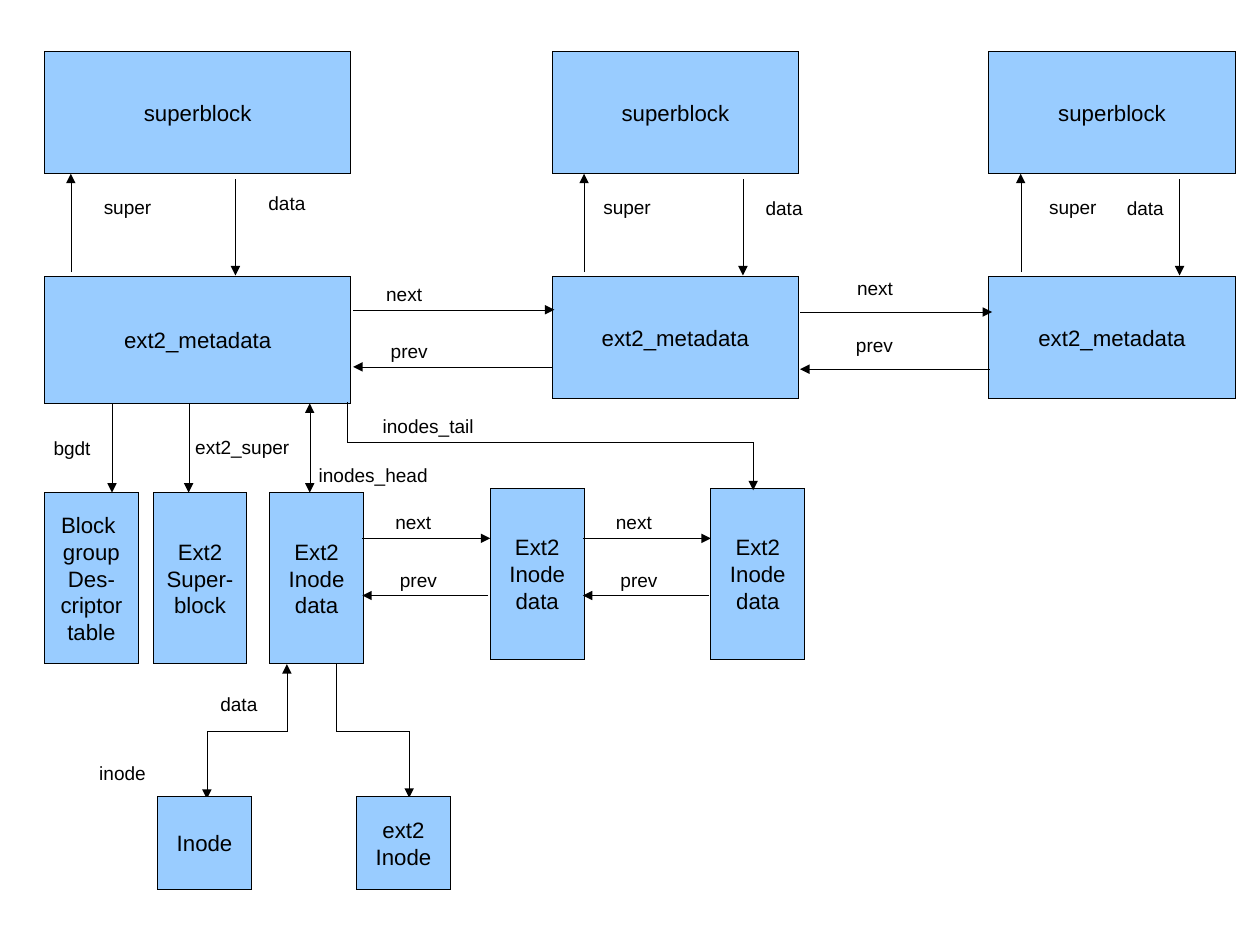
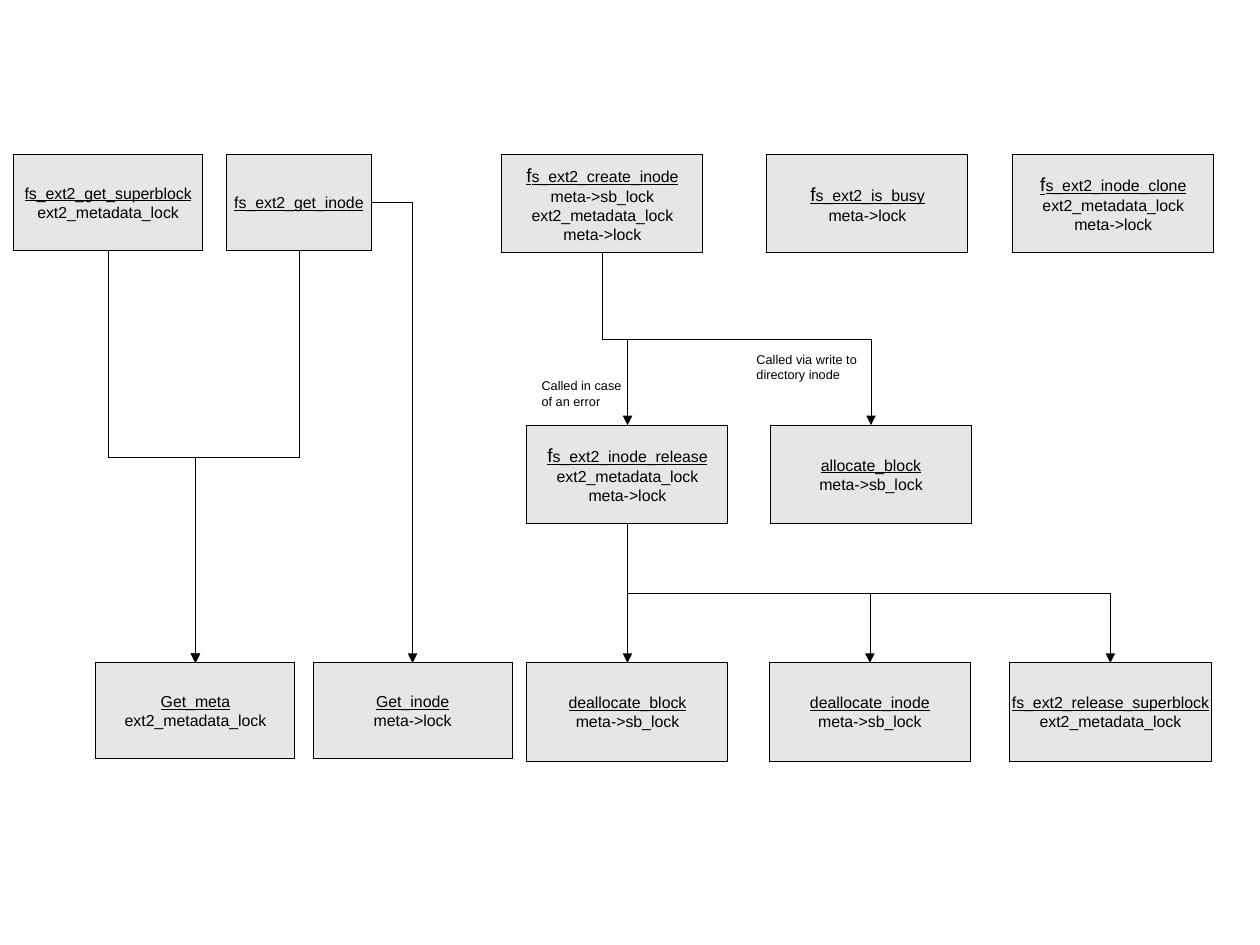
from lxml.etree import SubElement
from pptx import Presentation
from pptx.dml.color import RGBColor
from pptx.enum.shapes import MSO_CONNECTOR as LINK, MSO_SHAPE
from pptx.enum.text import MSO_ANCHOR, MSO_AUTO_SIZE, PP_ALIGN
from pptx.oxml.ns import qn
from pptx.util import Cm, Inches, Pt

BLACK = RGBColor(0x00, 0x00, 0x00)
BLUE = RGBColor(0x99, 0xCC, 0xFF)
GREY = RGBColor(0xE6, 0xE6, 0xE6)
TOP, LEFT, BOTTOM, RIGHT = range(4)
BLANK_LAYOUT = 6


def add_span(para, text, size, underline=False):
    span = para.add_run()
    span.text = text
    span.font.color.rgb = BLACK
    formats = {"name": "Arial", "size": Pt(size), "underline": underline}
    for name, value in formats.items():
        setattr(span.font, name, value)


def set_hairline(shape):
    """Give a black line of width 0, written out to override the theme's width."""
    shape.line.color.rgb = BLACK
    outline = shape.element.spPr.find(qn("a:ln"))
    outline.set("w", "0")
    return outline


def add_node(page, box, paragraphs, fill):
    """Draw a box; each paragraph is a list of (text, size, underline) spans."""
    node = page.shapes.add_shape(MSO_SHAPE.RECTANGLE, *map(Inches, box))
    node.shadow.inherit = False
    node.fill.solid()
    node.fill.fore_color.rgb = fill
    set_hairline(node)
    frame = node.text_frame
    frame.word_wrap = False
    frame.vertical_anchor = MSO_ANCHOR.MIDDLE
    for index, spans in enumerate(paragraphs):
        para = frame.add_paragraph() if index else frame.paragraphs[0]
        para.alignment = PP_ALIGN.CENTER
        for span in spans:
            add_span(para, *span)
    return node


def add_label(page, left, top, text, width=1.14, height=0.29, size=12):
    label = page.shapes.add_textbox(*map(Inches, (left, top, width, height)))
    frame = label.text_frame
    frame.word_wrap = True
    frame.auto_size = MSO_AUTO_SIZE.SHAPE_TO_FIT_TEXT
    add_span(frame.paragraphs[0], text, size)


def style_link(link, ends):
    """Make a thin black line with arrowheads at the named ends."""
    outline = set_hairline(link)
    for end in ends:
        SubElement(outline, qn(f"a:{end}"), type="triangle")
    SubElement(link.element.spPr, qn("a:effectLst"))


def add_line(page, start, finish, ends=("tailEnd",)):
    link = page.shapes.add_connector(LINK.STRAIGHT, *map(Inches, start + finish))
    style_link(link, ends)


def turn_elbow(link, start_x, start_y, finish_x, finish_y):
    """Turn an elbow so that it leaves downwards and arrives downwards."""
    width, height = abs(finish_y - start_y), abs(finish_x - start_x)
    link.left = round((start_x + finish_x - width) / 2)
    link.top = round((start_y + finish_y - height) / 2)
    link.width, link.height = width, height
    frame = link.element.spPr.find(qn("a:xfrm"))
    rightwards = finish_x > start_x
    frame.set("rot", str((270 if rightwards else 90) * 60000))
    frame.set("flipH", "1" if rightwards else "0")
    frame.set("flipV", "0")


def add_down_elbow(page, start, finish, ends=("tailEnd",)):
    corners = [Inches(value) for value in start + finish]
    link = page.shapes.add_connector(LINK.ELBOW, *corners)
    turn_elbow(link, *corners)
    style_link(link, ends)


def join_nodes(page, kind, parent, child, parent_side=BOTTOM):
    link = page.shapes.add_connector(kind, 0, 0, 0, 0)
    link.begin_connect(parent, parent_side)
    link.end_connect(child, TOP)
    style_link(link, ("tailEnd",))
    return link


def join_down(page, parent, child):
    """Join a parent's bottom to a child's top, straight if they line up."""
    start_x, finish_x = (node.left + node.width // 2 for node in (parent, child))
    if start_x == finish_x:
        join_nodes(page, LINK.STRAIGHT, parent, child)
        return
    link = join_nodes(page, LINK.ELBOW, parent, child)
    turn_elbow(link, start_x, parent.top + parent.height, finish_x, child.top)


def add_struct(page, box, *lines):
    add_node(page, box, [[(line, 14)] for line in lines], BLUE)


def metadata_column(page, left, top, width, metadata_height, up, super_x, data_x, data_y):
    """Draw a superblock above its metadata; up and the labels are offsets."""
    add_struct(page, (left, top, width, 1.07), "superblock")
    add_struct(page, (left, top + 1.97, width, metadata_height), "ext2_metadata")
    add_line(page, (left + up, top + 1.93), (left + up, top + 1.07))
    add_line(page, (left + 1.67, top + 1.12), (left + 1.67, top + 1.96))
    add_label(page, left + super_x, top + 1.21, "super")
    add_label(page, left + data_x, top + data_y, "data")


def next_prev_pair(page, left, right, top, next_x=0.19, prev_x=0.23, rise=0.29):
    """Draw the two arrows of a doubly linked list across a gap."""
    add_line(page, (left, top), (right + 0.02, top))
    add_line(page, (right, top + 0.5), (left, top + 0.5))
    add_label(page, left + next_x, top - rise, "next", 0.99)
    add_label(page, left + prev_x, top + 0.5 - rise, "prev", 0.99)


def inode_area(page, left, top):
    """Draw the structures that hang below the first metadata box."""
    columns = [
        (0, 0, ("Block ", "group", "Des-", "criptor", "table")),
        (0.95, 0, ("Ext2", "Super-", "block")),
    ]
    inode_lines = ("Ext2", "Inode", "data")
    columns += [(1.97 + 1.93 * step, -0.04 * bool(step), inode_lines) for step in range(3)]
    for x, y, lines in columns:
        add_struct(page, (left + x, top + y, 0.82, 1.5), *lines)
    for step in range(2):
        start = left + 2.78 + 1.93 * step
        next_prev_pair(page, start, start + 1.1, top + 0.4)

    both = ("headEnd", "tailEnd")
    for x, ends in ((0.59, both[1:]), (1.26, both[1:]), (2.32, both)):
        add_line(page, (left + x, top - 0.78), (left + x, top), ends)
    tail_start, tail_end, tail_y = left + 2.65, left + 6.2, top - 0.44
    add_line(page, (tail_start, top - 0.79), (tail_start, tail_y), ())
    add_line(page, (tail_start, tail_y), (tail_end, tail_y), ())
    add_line(page, (tail_end, tail_y), (tail_end, top - 0.02))

    add_down_elbow(page, (left + 2.12, top + 1.5), (left + 1.42, top + 2.68), both)
    add_down_elbow(page, (left + 2.55, top + 1.5), (left + 3.19, top + 2.67))
    add_struct(page, (left + 0.99, top + 2.66, 0.82, 0.81), "Inode")
    add_struct(page, (left + 2.73, top + 2.66, 0.82, 0.81), "ext2", "Inode")
    for x, y, text in (
        (-0.02, -0.54, "bgdt"), (1.22, -0.55, "ext2_super"),
        (2.3, -0.3, "inodes_head"), (2.86, -0.73, "inodes_tail"),
        (0.38, 2.3, "inode"), (1.44, 1.7, "data"),
    ):
        add_label(page, left + x, top + y, text, 1.33)


def structures_slide(deck):
    page = deck.slides.add_slide(deck.slide_layouts[BLANK_LAYOUT])
    for column in (
        (0.39, 0.45, 2.68, 1.11, 0.23, 0.42, 1.86, 1.18),
        (4.83, 0.45, 2.16, 1.07, 0.28, 0.35, 1.77, 1.22),
        (8.65, 0.45, 2.16, 1.07, 0.28, 0.43, 1.11, 1.22),
    ):
        metadata_column(page, *column)
    next_prev_pair(page, 3.09, 4.83, 2.71)
    next_prev_pair(page, 7, 8.66, 2.73, 0.4, 0.39, 0.36)
    inode_area(page, 0.39, 4.31)


def add_function(page, box, name, locks, initial_size=10):
    """Draw a function box: underlined name, then the locks it takes."""
    heading = [(name[0], initial_size, True), (name[1:], 10, True)]
    if initial_size == 10:
        heading = [(name, 10, True)]
    return add_node(page, box, [heading] + [[(lock, 10)] for lock in locks], GREY)


def locks_slide(deck):
    page = deck.slides.add_slide(deck.slide_layouts[BLANK_LAYOUT])
    metadata, lock, sb_lock = "ext2_metadata_lock", "meta->lock", "meta->sb_lock"
    row_1, row_2, row_3 = 1.35, 3.72, 5.8
    nodes = {
        name: add_function(page, box, name, *details)
        for name, box, *details in (
            ("fs_ext2_get_superblock", (0.12, row_1, 1.65, 0.84), [metadata]),
            ("fs_ext2_get_inode", (1.98, row_1, 1.27, 0.84), []),
            ("fs_ext2_create_inode", (4.39, row_1, 1.76, 0.86), [sb_lock, metadata, lock], 12),
            ("fs_ext2_is_busy", (6.71, row_1, 1.76, 0.86), [lock], 12),
            ("fs_ext2_inode_clone", (8.86, row_1, 1.76, 0.86), [metadata, lock], 12),
            ("fs_ext2_inode_release", (4.61, row_2, 1.76, 0.86), [metadata, lock], 12),
            ("allocate_block", (6.74, row_2, 1.76, 0.86), [sb_lock]),
            ("Get_meta", (0.84, row_3, 1.74, 0.84), [metadata]),
            ("Get_inode", (2.74, row_3, 1.74, 0.84), [lock]),
            ("deallocate_block", (4.61, row_3, 1.76, 0.86), [sb_lock]),
            ("deallocate_inode", (6.73, row_3, 1.76, 0.86), [sb_lock]),
            ("fs_ext2_release_superblock", (8.83, row_3, 1.77, 0.86), [metadata]),
        )
    }
    calls = {
        "fs_ext2_get_superblock": ["Get_meta"],
        "fs_ext2_get_inode": ["Get_meta"],
        "fs_ext2_create_inode": ["fs_ext2_inode_release", "allocate_block"],
        "fs_ext2_inode_release": [
            "deallocate_block", "deallocate_inode", "fs_ext2_release_superblock",
        ],
    }
    for caller, callees in calls.items():
        for callee in callees:
            join_down(page, nodes[caller], nodes[callee])
    side_link = join_nodes(
        page, LINK.ELBOW, nodes["fs_ext2_get_inode"], nodes["Get_inode"], RIGHT)
    side_link.element.spPr.find(qn("a:prstGeom")).set("prst", "bentConnector2")

    add_label(page, 4.64, 3.26, "Called in case of an error", 0.94, 0.67, 8)
    add_label(page, 6.52, 3.03, "Called via write to directory inode", 1.2, 0.67, 8)


def main():
    deck = Presentation()
    deck.slide_width, deck.slide_height = Cm(28), Cm(21)
    structures_slide(deck)
    locks_slide(deck)
    deck.save("out.pptx")


if __name__ == "__main__":
    main()
